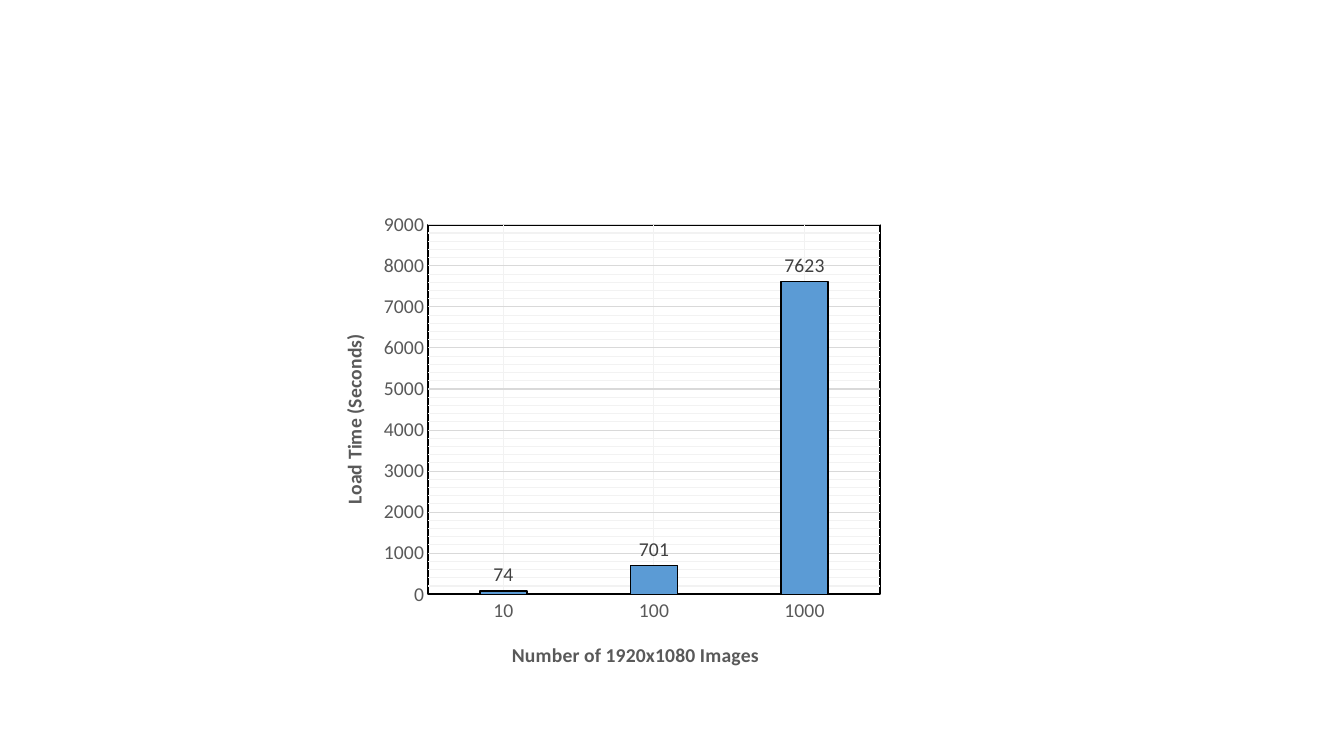
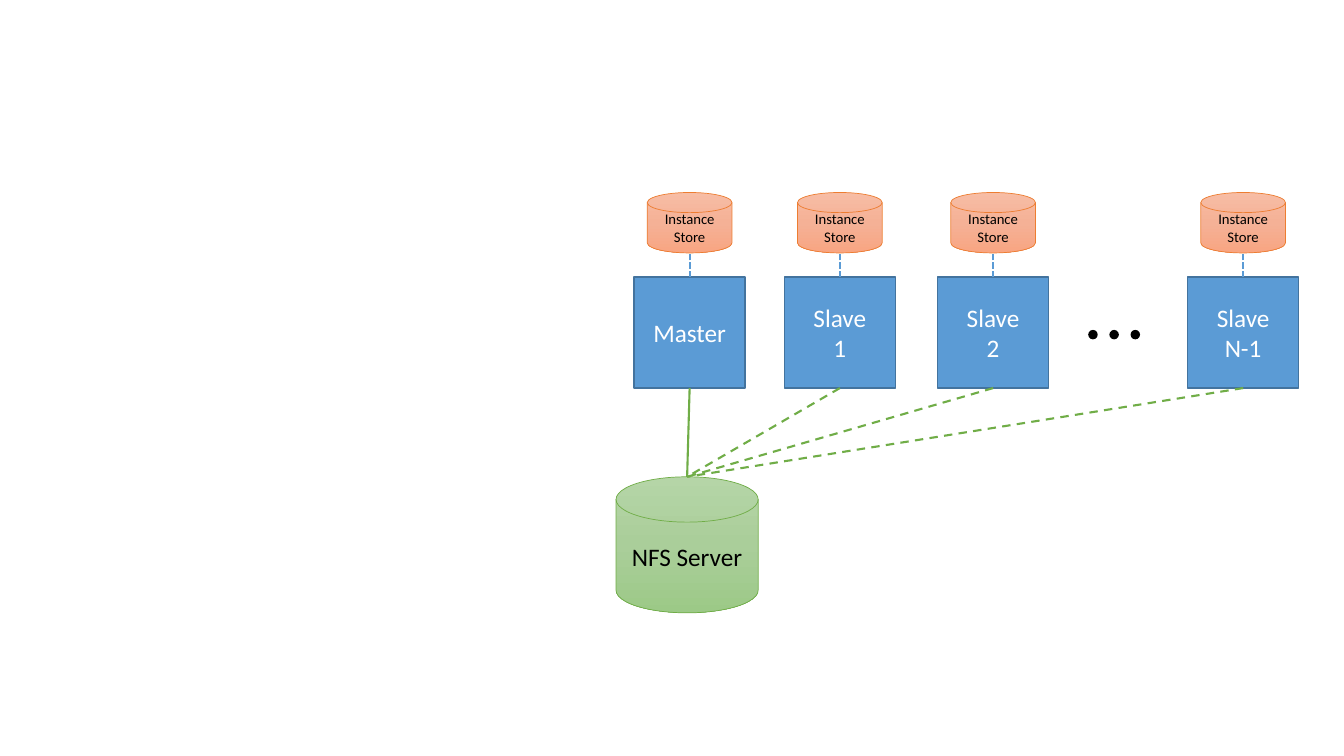
"""Build two slides: a load time chart and a cluster storage diagram."""
from copy import deepcopy
from dataclasses import dataclass

from pptx import Presentation
from pptx.chart.data import CategoryChartData
from pptx.dml.color import RGBColor
from pptx.enum.chart import XL_CHART_TYPE, XL_LABEL_POSITION, XL_TICK_MARK
from pptx.enum.dml import MSO_LINE
from pptx.enum.shapes import MSO_CONNECTOR, MSO_SHAPE
from pptx.enum.text import MSO_ANCHOR, PP_ALIGN
from pptx.oxml import parse_xml
from pptx.oxml.ns import nsdecls, qn
from pptx.util import Inches, Pt

COLUMNS = XL_CHART_TYPE.COLUMN_CLUSTERED
OUTSIDE_END = XL_LABEL_POSITION.OUTSIDE_END
NO_TICK = XL_TICK_MARK.NONE
DASH, SHORT_DASH = MSO_LINE.DASH, MSO_LINE.SQUARE_DOT
STRAIGHT = MSO_CONNECTOR.STRAIGHT
RECTANGLE, OVAL = MSO_SHAPE.RECTANGLE, MSO_SHAPE.OVAL
DISK = MSO_SHAPE.FLOWCHART_MAGNETIC_DISK
MIDDLE, CENTER = MSO_ANCHOR.MIDDLE, PP_ALIGN.CENTER
TOP_SIDE, BOTTOM_SIDE = 0, 2


@dataclass(frozen=True)
class Theme:
    """Colours, font and type sizes shared by the slides."""
    font: str = "Calibri"
    blue: str = "5B9BD5"
    blue_edge: str = "43739E"
    green: str = "70AD47"
    orange: str = "ED7D31"
    black: str = "000000"
    white: str = "FFFFFF"
    axis_text: str = "595959"
    label_text: str = "404040"
    grid: str = "D9D9D9"
    minor_grid: str = "F2F2F2"
    green_blend: tuple = ("B5D5A7", "AACE9A", "9CC987")
    orange_blend: tuple = ("F7BDA5", "F5B196", "F8A582")
    chart_size: float = 14
    node_size: float = 18
    store_size: float = 10.5


THEME = Theme()


@dataclass(frozen=True)
class Box:
    """Left, top, width and height in inches."""
    left: float
    top: float
    width: float
    height: float

    @property
    def center(self) -> float:
        """Return the horizontal middle."""
        return self.left + self.width / 2

    def lengths(self) -> tuple:
        """Return the four measures as lengths."""
        return tuple(Inches(v) for v in (self.left, self.top, self.width, self.height))


@dataclass(frozen=True)
class Node:
    """A cluster machine, its left edge and its link to the server."""
    label: str
    left: float
    link_dash: MSO_LINE | None = DASH


NODES = (
    Node("Master", 6.29, None),
    Node("Slave\n1", 7.78),
    Node("Slave\n2", 9.3),
    Node("Slave\nN-1", 11.78),
)
NODE_TOP, NODE_SIDE = 2.75, 1.1
STORE_TOP, STORE_WIDTH, STORE_HEIGHT = 1.91, 0.84, 0.6
SERVER = Box(6.11, 4.73, 1.41, 1.35)
DOT_LEFT, DOT_TOP, DOT_SIDE, DOT_STEP, DOT_COUNT = 10.8, 3.28, 0.08, 0.21, 3


def rgb(color: str) -> RGBColor:
    """Turn a hex string into a colour."""
    return RGBColor.from_string(color)


def style_font(font, size: float, color: str, bold: bool = False) -> None:
    """Set typeface, size, colour and weight."""
    font.name, font.size, font.bold = THEME.font, Pt(size), bold
    font.color.rgb = rgb(color)


def style_line(line, color: str, width: float, dash=None) -> None:
    """Set colour, width and dash of a line."""
    line.color.rgb = rgb(color)
    line.width = Pt(width)
    if dash is not None:
        line.dash_style = dash


def add_figure(slide, kind, box: Box, fill, edge: str, edge_width: float = 1):
    """Add a shape with a solid colour or a three-stop vertical blend."""
    figure = slide.shapes.add_shape(kind, *box.lengths())
    figure.shadow.inherit = False
    style_line(figure.line, edge, edge_width)
    if isinstance(fill, str):
        figure.fill.solid()
        figure.fill.fore_color.rgb = rgb(fill)
        return figure
    figure.fill.gradient()
    figure.fill.gradient_angle = 270
    stops = figure._element.spPr.find(qn("a:gradFill")).find(qn("a:gsLst"))
    stops.insert(1, deepcopy(stops[0]))
    for stop, color, position in zip(figure.fill.gradient_stops, fill, (0, 0.5, 1)):
        stop.color.rgb = rgb(color)
        stop.position = position
    return figure


def write(figure, text: str, size: float, color: str) -> None:
    """Write centred text in a shape."""
    frame = figure.text_frame
    frame.text = text
    frame.word_wrap = True
    frame.vertical_anchor = MIDDLE
    for paragraph in frame.paragraphs:
        paragraph.alignment = CENTER
        for run in paragraph.runs:
            style_font(run.font, size, color)


def link(slide, machine, side: int, end: tuple[float, float], color: str, dash) -> None:
    """Draw a line from one side of a machine to a point."""
    x, y = (Inches(v) for v in end)
    line = slide.shapes.add_connector(STRAIGHT, x, y, x, y)
    line.begin_connect(machine, side)
    style_line(line.line, color, 1.5, dash)
    line._element.spPr.append(parse_xml(f"<a:effectLst {nsdecls('a')}/>"))


def place(element, index: int, mode: str, **fractions: float) -> None:
    """Give a chart part a manual layout in fractions of the chart."""
    for old in element.findall(qn("c:layout")):
        element.remove(old)
    target = '<c:layoutTarget val="inner"/>' if mode == "inner" else ""
    values = "".join(f'<c:{key} val="{value}"/>' for key, value in fractions.items())
    element.insert(index, parse_xml(
        f"<c:layout {nsdecls('c')}><c:manualLayout>{target}"
        f'<c:xMode val="edge"/><c:yMode val="edge"/>{values}'
        "</c:manualLayout></c:layout>"))


def outline(element, color: str, width: float) -> None:
    """Add a line format to a chart part."""
    element.append(parse_xml(
        f"<c:spPr {nsdecls('c', 'a')}><a:noFill/><a:ln w=\"{Pt(width)}\"><a:solidFill>"
        f'<a:srgbClr val="{color}"/></a:solidFill></a:ln></c:spPr>'))


def style_axis(axis, title: str, x: float, y: float) -> None:
    """Set the title, labels and minor grid of an axis."""
    axis.major_tick_mark = axis.minor_tick_mark = NO_TICK
    style_font(axis.tick_labels.font, THEME.chart_size, THEME.axis_text)
    frame = axis.axis_title.text_frame
    frame.text = title
    style_font(frame.paragraphs[0].runs[0].font, THEME.chart_size, THEME.axis_text, True)
    place(axis.axis_title._element, 1, "edge", x=x, y=y)
    axis.has_minor_gridlines = True
    outline(axis._element.find(qn("c:minorGridlines")), THEME.minor_grid, 0.75)


def build_load_times(slide) -> None:
    """Draw the load time chart."""
    data = CategoryChartData()
    data.categories = ("10", "100", "1000")
    data.add_series("Series 1", (74, 701, 7623))
    area = Box(3.17, 2.04, 5.67, 4.76)
    chart = slide.shapes.add_chart(COLUMNS, *area.lengths(), data).chart
    chart.has_legend = chart.has_title = False
    style_font(chart.font, THEME.chart_size, THEME.black)

    counts, seconds = chart.category_axis, chart.value_axis
    style_axis(counts, "Number of 1920x1080 Images", 0.33, 0.9)
    style_axis(seconds, "Load Time (Seconds)", 0.03, 0.26)
    style_line(counts.format.line, THEME.black, 0.75)
    seconds.format.line.fill.background()
    seconds.axis_title.text_frame._txBody.bodyPr.set("rot", "-5400000")
    seconds.minimum_scale, seconds.maximum_scale = 0, 9000
    seconds.major_unit, seconds.minor_unit = 1000, 200
    seconds.tick_labels.number_format = "0"
    seconds.tick_labels.number_format_is_linked = False
    style_line(seconds.major_gridlines.format.line, THEME.grid, 0.75)

    plot = chart.plots[0]
    plot.vary_by_categories = False
    plot.gap_width, plot.overlap = 219, -27
    load_times = plot.series[0]
    load_times.format.fill.solid()
    load_times.format.fill.fore_color.rgb = rgb(THEME.blue)
    style_line(load_times.format.line, THEME.black, 1)
    labels = load_times.data_labels
    labels.show_value = True
    labels.position = OUTSIDE_END
    labels.number_format, labels.number_format_is_linked = "0", False
    style_font(labels.font, THEME.chart_size, THEME.label_text)

    plot_area = chart._chartSpace.chart.plotArea
    place(plot_area, 0, "inner", x=0.19, y=0.04, w=0.79, h=0.77)
    outline(plot_area, THEME.black, 1.5)


def build_cluster(slide) -> None:
    """Draw the machines, their stores and the shared server."""
    server = add_figure(slide, DISK, SERVER, THEME.green_blend, THEME.green, 0.5)
    write(server, "NFS Server", THEME.node_size, THEME.black)
    for node in NODES:
        square = Box(node.left, NODE_TOP, NODE_SIDE, NODE_SIDE)
        machine = add_figure(slide, RECTANGLE, square, THEME.blue, THEME.blue_edge)
        write(machine, node.label, THEME.node_size, THEME.white)
        disk = Box(square.center - STORE_WIDTH / 2, STORE_TOP, STORE_WIDTH, STORE_HEIGHT)
        store = add_figure(slide, DISK, disk, THEME.orange_blend, THEME.orange, 0.5)
        write(store, "Instance Store", THEME.store_size, THEME.black)
        store_foot = (square.center, STORE_TOP + STORE_HEIGHT)
        link(slide, machine, TOP_SIDE, store_foot, THEME.blue, SHORT_DASH)
        server_top = (SERVER.center, SERVER.top)
        link(slide, machine, BOTTOM_SIDE, server_top, THEME.green, node.link_dash)
    for index in range(DOT_COUNT):
        dot = Box(DOT_LEFT + index * DOT_STEP, DOT_TOP, DOT_SIDE, DOT_SIDE)
        add_figure(slide, OVAL, dot, THEME.black, THEME.black)


def main() -> None:
    """Build and save the presentation."""
    deck = Presentation()
    deck.slide_width, deck.slide_height = Inches(13.33), Inches(7.5)
    blank = deck.slide_layouts[6]
    for build in (build_load_times, build_cluster):
        build(deck.slides.add_slide(blank))
    deck.save("out.pptx")


if __name__ == "__main__":
    main()
